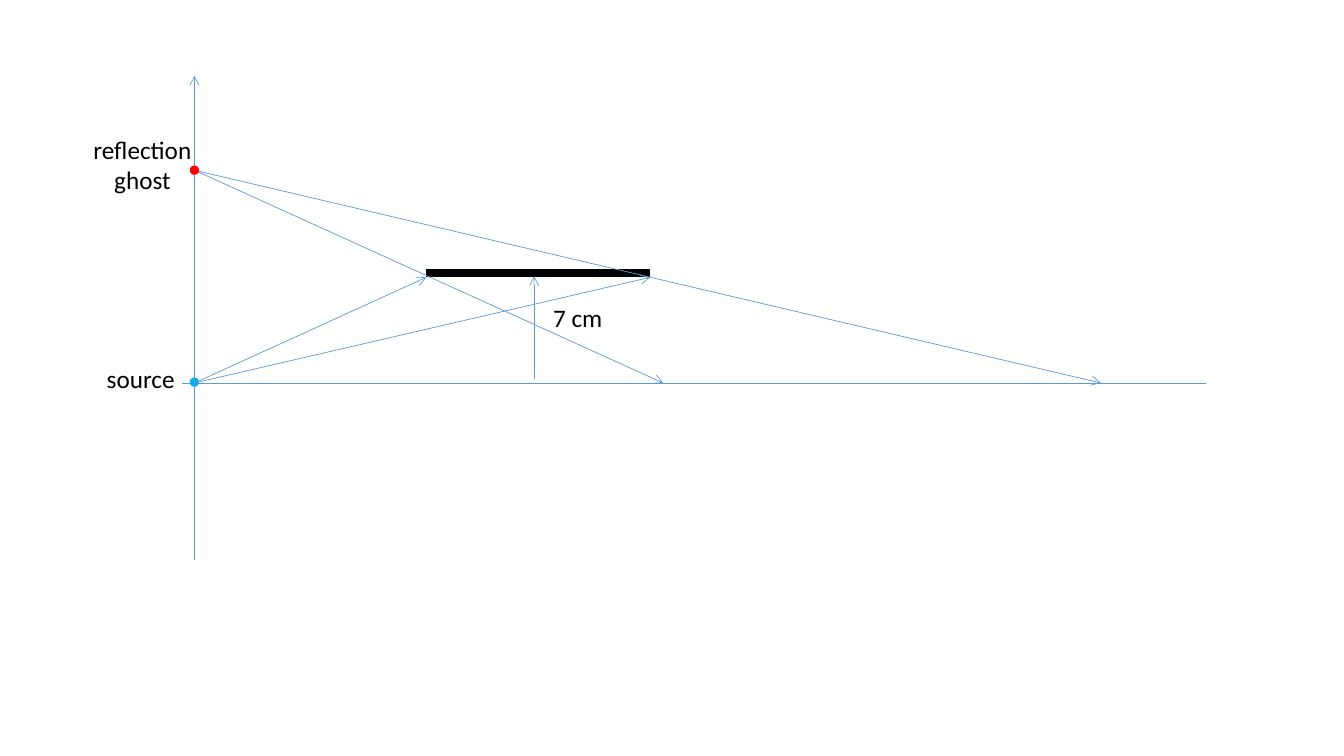
from lxml import etree
from pptx import Presentation
from pptx.dml.color import RGBColor
from pptx.enum.shapes import MSO_CONNECTOR, MSO_SHAPE
from pptx.enum.text import MSO_AUTO_SIZE, PP_ALIGN
from pptx.oxml.ns import qn
from pptx.util import Cm, Pt

STRAIGHT = MSO_CONNECTOR.STRAIGHT
DOT = MSO_SHAPE.FLOWCHART_CONNECTOR
FIT_SHAPE = MSO_AUTO_SIZE.SHAPE_TO_FIT_TEXT
LEFT, CENTER = PP_ALIGN.LEFT, PP_ALIGN.CENTER

BLUE = RGBColor(0x5B, 0x9B, 0xD5)
SOURCE_BLUE = RGBColor(0x00, 0xB0, 0xF0)
GHOST_RED = RGBColor(0xFF, 0x00, 0x00)
BLACK = RGBColor(0x00, 0x00, 0x00)

AXIS_X, AXIS_Y = 4.9, 9.65
GHOST_Y = 4.29
MIRROR_LEFT, MIRROR_RIGHT, MIRROR_Y = 10.74, 16.38, 6.88
MIRROR_BOTTOM = 6.99
DISTANCE_X = 13.46
DOT_SIZE = 0.2

prs = Presentation()
prs.slide_width = Cm(33.87)
prs.slide_height = Cm(19.05)
slide = prs.slides.add_slide(prs.slide_layouts[6])


def add_line(x1, y1, x2, y2, arrow=True, color=BLUE, width=0.5):
    line = slide.shapes.add_connector(STRAIGHT, Cm(x1), Cm(y1), Cm(x2), Cm(y2))
    line.line.color.rgb = color
    line.line.width = Pt(width)
    spPr = line._element.spPr
    if arrow:
        etree.SubElement(spPr.find(qn("a:ln")), qn("a:tailEnd"), type="arrow")
    etree.SubElement(spPr, qn("a:effectLst"))


def add_dot(y, color):
    sp = slide.shapes.add_shape(DOT, Cm(AXIS_X - DOT_SIZE / 2), Cm(y - DOT_SIZE / 2),
                                Cm(DOT_SIZE), Cm(DOT_SIZE))
    sp.shadow.inherit = False
    sp.fill.solid()
    sp.fill.fore_color.rgb = color
    sp.line.color.rgb = color
    sp.line.width = Pt(1)


add_line(4.6, AXIS_Y, 30.38, AXIS_Y, arrow=False)
add_dot(AXIS_Y - 0.02, SOURCE_BLUE)
add_line(AXIS_X, 14.1, AXIS_X, 1.91)
add_line(MIRROR_LEFT, MIRROR_Y, MIRROR_RIGHT, MIRROR_Y, arrow=False, color=BLACK, width=6)

for mirror_x in (MIRROR_LEFT, MIRROR_RIGHT):
    add_line(AXIS_X, AXIS_Y, mirror_x, MIRROR_BOTTOM)
for landing_x in (16.71, 27.74):
    add_line(AXIS_X, GHOST_Y, landing_x, AXIS_Y)
add_dot(GHOST_Y, GHOST_RED)
add_line(DISTANCE_X, 9.55, DISTANCE_X, 6.96)

labels = [
    (2.44, 9.04, 2.24, 1.02, LEFT, ["source"]),
    (2.08, 3.25, 3.02, 1.8, CENTER, ["reflection", "ghost"]),
    (13.69, 7.49, 1.78, 1.02, LEFT, ["7 cm"]),
]
for x, y, w, h, align, texts in labels:
    tf = slide.shapes.add_textbox(Cm(x), Cm(y), Cm(w), Cm(h)).text_frame
    tf.word_wrap = False
    tf.auto_size = FIT_SHAPE
    tf.text = "\n".join(texts)
    for p in tf.paragraphs:
        p.alignment = align
        p.font.name = "Calibri"
        p.font.size = Pt(18)
        p.font.color.rgb = BLACK

prs.save("out.pptx")
